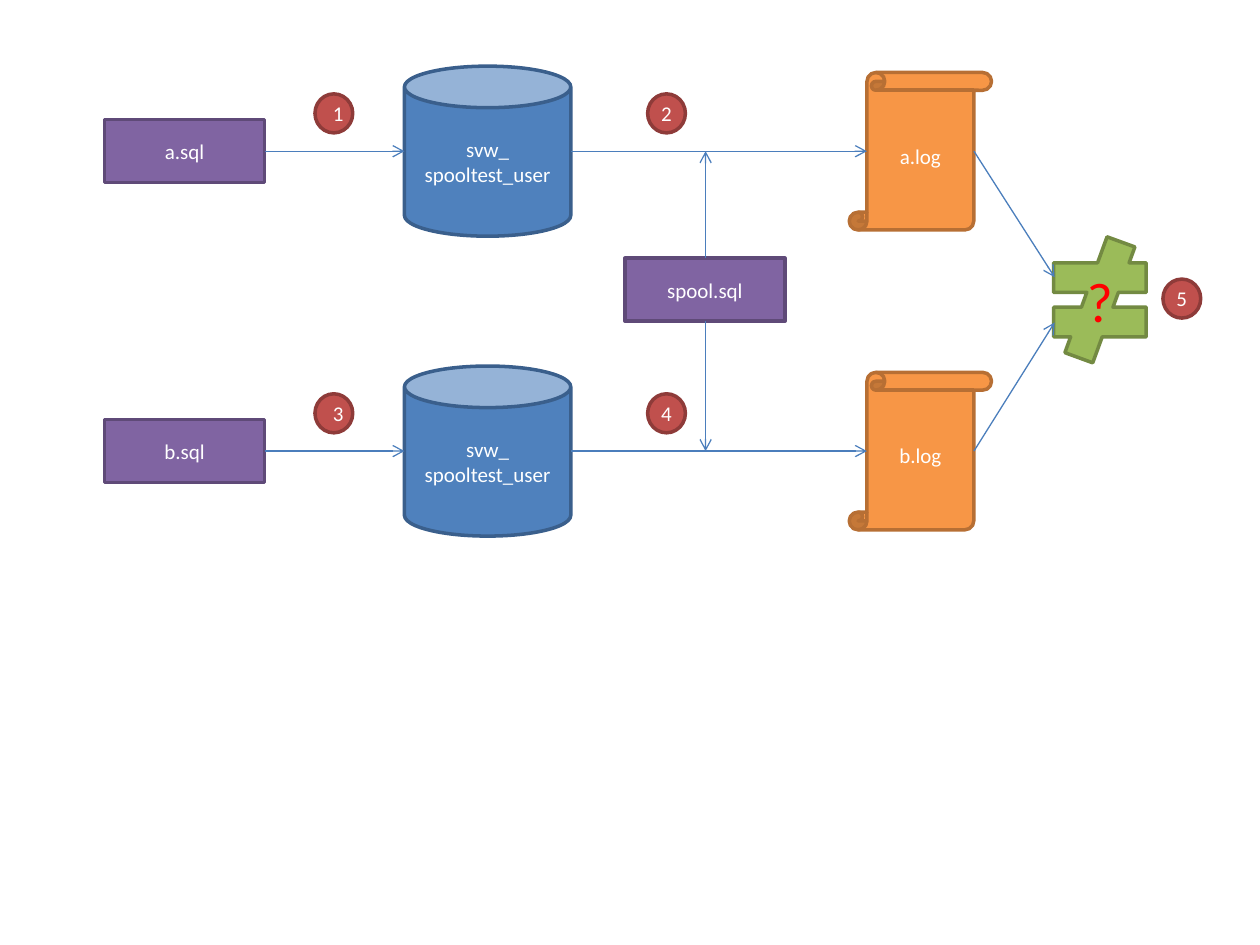
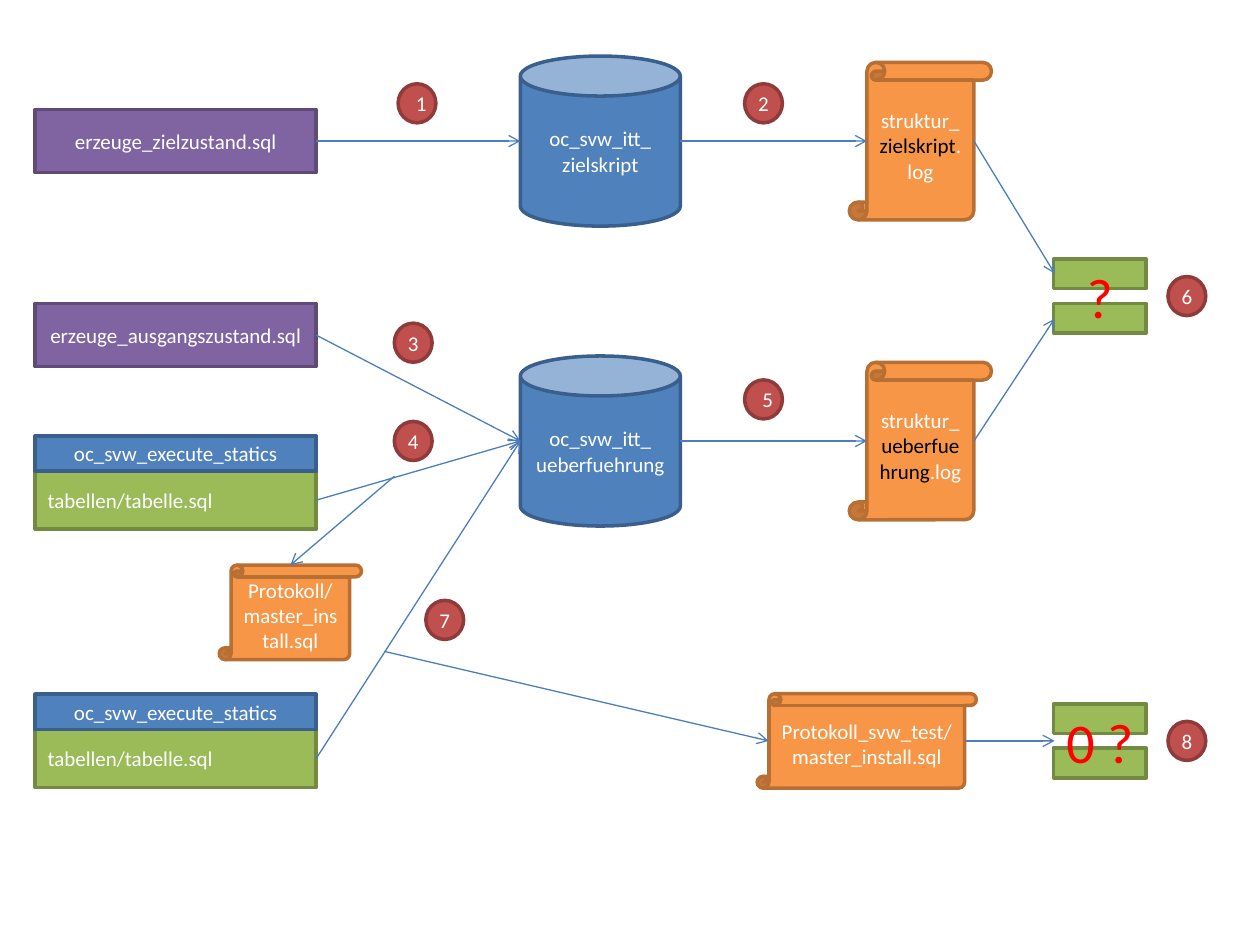
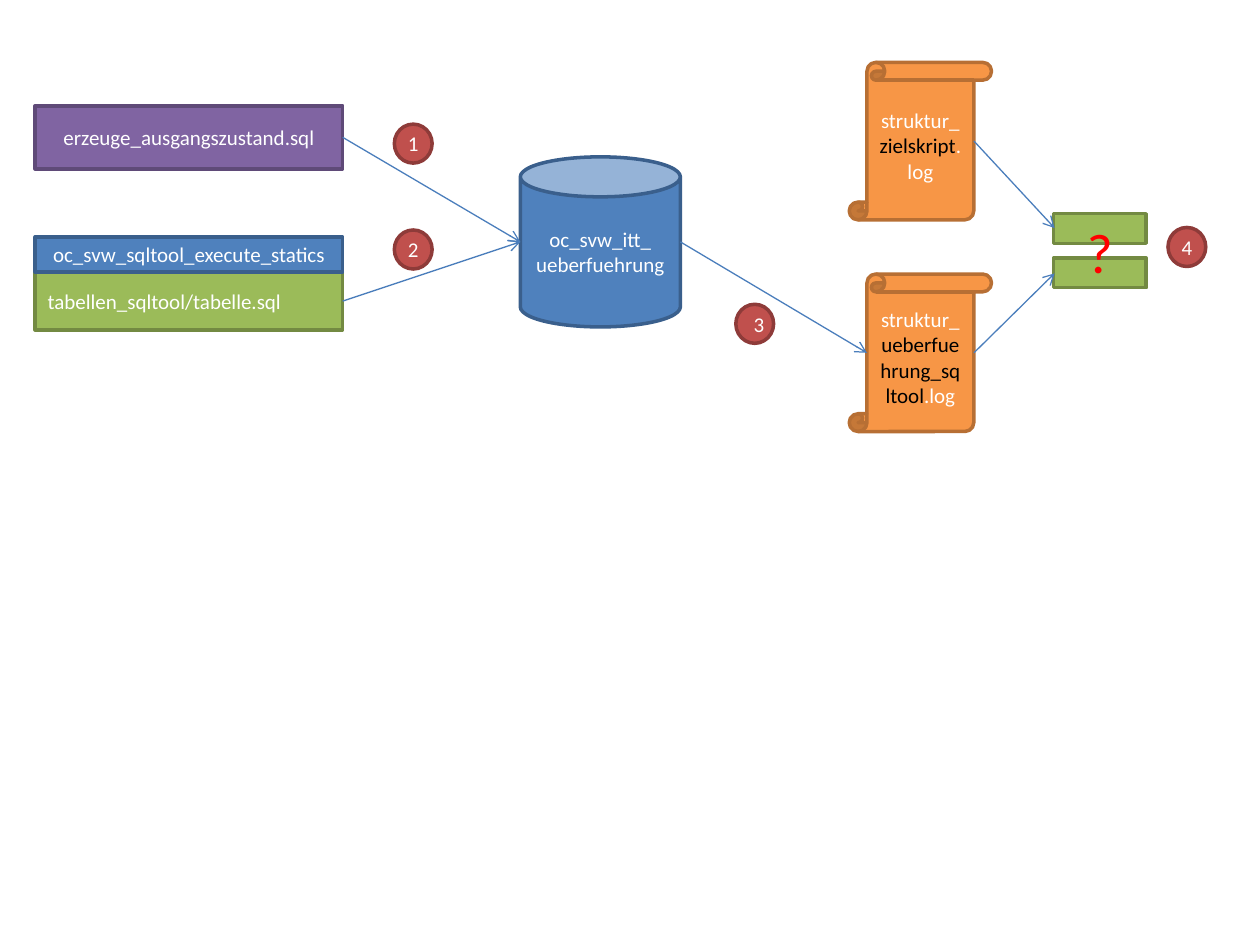
from dataclasses import dataclass
from typing import NamedTuple

from lxml.etree import SubElement
from pptx import Presentation
from pptx.dml.color import RGBColor
from pptx.enum.shapes import MSO_CONNECTOR, MSO_SHAPE
from pptx.enum.text import PP_ALIGN
from pptx.oxml.ns import qn
from pptx.slide import Slide
from pptx.util import Inches, Pt

WHITE = RGBColor(0xFF, 0xFF, 0xFF)
BLACK = RGBColor(0x00, 0x00, 0x00)
RED = RGBColor(0xFF, 0x00, 0x00)
BLUE = RGBColor(0x4F, 0x81, 0xBD)
DARK_BLUE = RGBColor(0x3A, 0x5F, 0x8C)
PURPLE = RGBColor(0x80, 0x64, 0xA2)
DARK_PURPLE = RGBColor(0x5F, 0x4A, 0x78)
ORANGE = RGBColor(0xF7, 0x96, 0x46)
DARK_ORANGE = RGBColor(0xB7, 0x6F, 0x34)
GREEN = RGBColor(0x9B, 0xBB, 0x59)
DARK_GREEN = RGBColor(0x73, 0x8A, 0x42)
BRICK = RGBColor(0xC0, 0x50, 0x4D)
DARK_BRICK = RGBColor(0x8E, 0x3B, 0x39)
ARROW_BLUE = RGBColor(0x4B, 0x7E, 0xBC)

LABEL_FONT = {"name": "Calibri", "size": Pt(12)}
VERDICT_FONT = {"name": "Calibri", "size": Pt(32)}


class Kind(NamedTuple):
    outline: MSO_SHAPE
    fill: RGBColor
    border: RGBColor
    width: float
    height: float
    inset: float = 0
    ink: RGBColor = WHITE
    font: dict = LABEL_FONT
    align: PP_ALIGN = PP_ALIGN.CENTER


SCRIPT = Kind(MSO_SHAPE.RECTANGLE, PURPLE, DARK_PURPLE, 1.27, 0.5)
DATABASE = Kind(MSO_SHAPE.CAN, BLUE, DARK_BLUE, 1.27, 1.35)
LOG = Kind(MSO_SHAPE.VERTICAL_SCROLL, ORANGE, DARK_ORANGE, 1.13, 1.25, 0.14)
PROTOCOL = LOG._replace(height=0.75, inset=0.09)
STEP = Kind(MSO_SHAPE.OVAL, BRICK, DARK_BRICK, 0.3, 0.31)
EQUAL = Kind(MSO_SHAPE.MATH_EQUAL, GREEN, DARK_GREEN, 1, 1, 0.14, RED, VERDICT_FONT)
NOT_EQUAL = EQUAL._replace(outline=MSO_SHAPE.MATH_NOT_EQUAL)
PACKAGE = Kind(MSO_SHAPE.RECTANGLE, BLUE, DARK_BLUE, 2.23, 0.28)
TABLES = Kind(MSO_SHAPE.RECTANGLE, GREEN, DARK_GREEN, 2.23, 0.46, align=PP_ALIGN.LEFT)


class Point(NamedTuple):
    x: float
    y: float


@dataclass
class Node:
    kind: Kind
    left: float
    middle: float
    text: str
    accent: str = ""
    wrap: bool = True

    @property
    def entry(self) -> Point:
        return Point(self.left + self.kind.inset, self.middle)

    @property
    def exit(self) -> Point:
        return Point(self.left + self.kind.width - self.kind.inset, self.middle)

    def draw(self, slide: Slide) -> "Node":
        kind = self.kind
        body = slide.shapes.add_shape(
            kind.outline, Inches(self.left), Inches(self.middle - kind.height / 2),
            Inches(kind.width), Inches(kind.height))
        body.shadow.inherit = False
        body.fill.solid()
        body.fill.fore_color.rgb = kind.fill
        body.line.color.rgb = kind.border
        body.line.width = Pt(2)
        frame = body.text_frame
        frame.word_wrap = self.wrap
        for index, line in enumerate(self.text.split("\n")):
            paragraph = frame.add_paragraph() if index else frame.paragraphs[0]
            paragraph.alignment = kind.align
            before, accent, after = line.partition(self.accent) if self.accent else (line, "", "")
            for words, ink in ((before, kind.ink), (accent, BLACK), (after, kind.ink)):
                if words:
                    run = paragraph.add_run()
                    run.text = words
                    run.font.color.rgb = ink
                    for name, value in kind.font.items():
                        setattr(run.font, name, value)
        return self


def arrow(slide: Slide, start: Point, end: Point) -> None:
    link = slide.shapes.add_connector(
        MSO_CONNECTOR.STRAIGHT, Inches(start.x), Inches(start.y), Inches(end.x), Inches(end.y))
    link.line.color.rgb = ARROW_BLUE
    link.line.width = Pt(0.75)
    SubElement(link.line._get_or_add_ln(), qn("a:tailEnd"), type="arrow")
    SubElement(link._element.spPr, qn("a:effectLst"))


def step(slide: Slide, number: int, left: float, middle: float, wrap: bool = False) -> None:
    Node(STEP, left, middle, str(number), wrap=wrap).draw(slide)


def compare(slide: Slide, kind: Kind, middle: float, upper: Node, lower: Node) -> None:
    verdict = Node(kind, 8.23, middle, "?").draw(slide)
    for log, shift in ((upper, -0.18), (lower, 0.18)):
        arrow(slide, log.exit, Point(verdict.entry.x, middle + shift))


def structure_log(slide: Slide, middle: float, state: str) -> Node:
    return Node(LOG, 6.74, middle, f"struktur_{state}.log", state).draw(slide)


def target_database(slide: Slide, middle: float, state: str) -> Node:
    return Node(DATABASE, 4.13, middle, f"oc_svw_itt_\n{state}").draw(slide)


def state_script(slide: Slide, middle: float, state: str, width: float) -> Node:
    return Node(SCRIPT._replace(width=width), 0.28, middle, f"erzeuge_{state}.sql").draw(slide)


def table_install(slide: Slide, middle: float, width: float, package: str, folder: str) -> Node:
    tables = Node(TABLES._replace(width=width), 0.28, middle, f"{folder}/tabelle.sql").draw(slide)
    header_middle = middle - (TABLES.height + PACKAGE.height) / 2
    Node(PACKAGE._replace(width=width), 0.28, header_middle, package).draw(slide)
    return tables


def draw_spool_test(slide: Slide) -> None:
    spool = Node(SCRIPT, 4.96, 2.3, "spool.sql").draw(slide)
    logs = []
    for row, letter in enumerate("ab"):
        middle = 1.2 + 2.38 * row
        script = Node(SCRIPT, 0.83, middle, f"{letter}.sql").draw(slide)
        database = Node(DATABASE._replace(width=1.32), 3.21, middle, "svw_\nspooltest_user").draw(slide)
        log = Node(LOG, 6.74, middle, f"{letter}.log").draw(slide)
        arrow(slide, script.exit, database.entry)
        arrow(slide, database.exit, log.entry)
        spool_edge = spool.middle + (row - 0.5) * SCRIPT.height
        arrow(slide, Point(5.6, spool_edge), Point(5.6, middle))
        step(slide, 2 * row + 1, 2.5, middle - 0.3, wrap=True)
        step(slide, 2 * row + 2, 5.14, middle - 0.3)
        logs.append(log)
    compare(slide, NOT_EQUAL, 2.38, *logs)
    step(slide, 5, 9.23, 2.37)


def draw_full_comparison(slide: Slide) -> None:
    target_script = state_script(slide, 1.12, "zielzustand", 2.23)
    initial_script = state_script(slide, 2.66, "ausgangszustand", 2.23)
    target = target_database(slide, 1.12, "zielskript")
    migrated = target_database(slide, 3.5, "ueberfuehrung")
    target_log = structure_log(slide, 1.12, "zielskript")
    migrated_log = structure_log(slide, 3.5, "ueberfuehrung")
    first_install, second_install = [
        table_install(slide, middle, 2.23, "oc_svw_execute_statics", "tabellen")
        for middle in (3.97, 6.02)]
    protocol = Node(PROTOCOL, 1.74, 4.86, "Protokoll/master_install.sql").draw(slide)
    test_protocol = Node(PROTOCOL._replace(width=1.74), 6.01, 5.88,
                         "Protokoll_svw_test/master_install.sql").draw(slide)
    empty_check = Node(EQUAL, 8.23, 5.88, "0 ?").draw(slide)
    compare(slide, EQUAL, 2.35, target_log, migrated_log)
    protocol_top = Point(protocol.left + PROTOCOL.width / 2, protocol.middle - PROTOCOL.height / 2)
    for start, end in (
        (target_script.exit, target.entry),
        (target.exit, target_log.entry),
        (initial_script.exit, migrated.entry),
        (first_install.exit, migrated.entry),
        (second_install.exit, migrated.entry),
        (migrated.exit, migrated_log.entry),
        (Point(3.13, 3.78), protocol_top),
        (Point(3.05, 5.17), test_protocol.entry),
        (test_protocol.exit, empty_check.entry),
    ):
        arrow(slide, start, end)
    for number, left, middle, wrap in (
        (1, 3.16, 0.82, True), (2, 5.91, 0.82, False), (3, 3.13, 2.72, False),
        (4, 3.13, 3.5, False), (5, 5.91, 3.17, True), (6, 9.27, 2.35, False),
        (7, 3.38, 4.92, False), (8, 9.27, 5.88, False),
    ):
        step(slide, number, left, middle, wrap)


def draw_sqltool_comparison(slide: Slide) -> None:
    initial_script = state_script(slide, 1.09, "ausgangszustand", 2.44)
    install = table_install(slide, 2.39, 2.44, "oc_svw_sqltool_execute_statics", "tabellen_sqltool")
    migrated = target_database(slide, 1.92, "ueberfuehrung")
    target_log = structure_log(slide, 1.12, "zielskript")
    migrated_log = structure_log(slide, 2.8, "ueberfuehrung_sqltool")
    compare(slide, EQUAL, 1.99, target_log, migrated_log)
    arrow(slide, initial_script.exit, migrated.entry)
    arrow(slide, install.exit, migrated.entry)
    arrow(slide, migrated.exit, migrated_log.entry)
    step(slide, 1, 3.13, 1.14)
    step(slide, 2, 3.13, 1.98)
    step(slide, 3, 5.84, 2.57, wrap=True)
    step(slide, 4, 9.27, 1.96)


deck = Presentation()
deck.slide_width, deck.slide_height = Inches(10), Inches(7.5)
for draw_content in (draw_spool_test, draw_full_comparison, draw_sqltool_comparison):
    draw_content(deck.slides.add_slide(deck.slide_layouts[6]))
deck.save("out.pptx")
